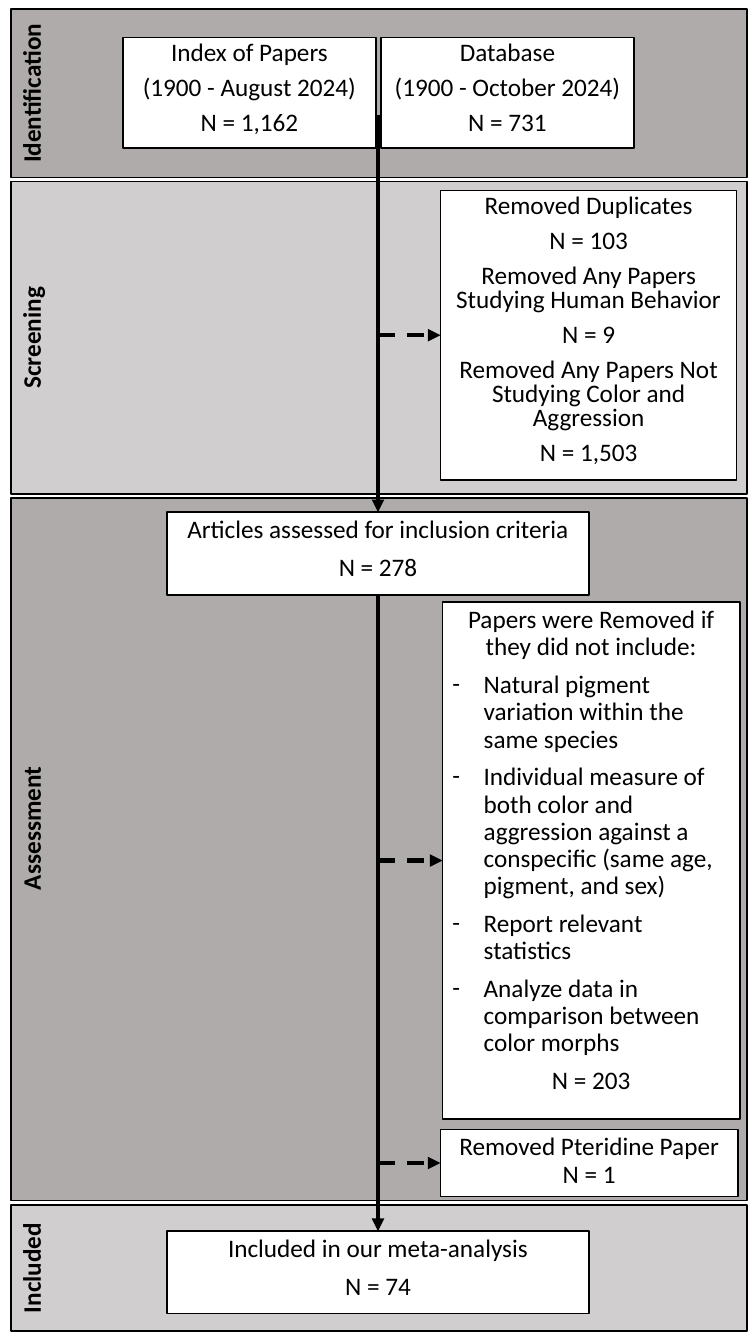
from lxml.etree import SubElement
from pptx import Presentation
from pptx.dml.color import RGBColor
from pptx.enum.dml import MSO_LINE
from pptx.enum.shapes import MSO_CONNECTOR, MSO_SHAPE
from pptx.enum.text import MSO_ANCHOR, MSO_AUTO_SIZE, PP_ALIGN
from pptx.oxml.ns import qn
from pptx.util import Pt

EMU_PER_PX = 9144
WIDTH, HEIGHT = 750, 1333
TRUNK_X = 375
TOP, LEFT, BOTTOM = 0, 1, 2
BLACK, WHITE, DARK, LIGHT = "000000", "FFFFFF", "AFABAB", "D0CECE"
BULLET = "- "
BULLET_INDENT = 31

BAND_LEFT, BAND_WIDTH = 11, 730
BANDS = {
    "Identification": (9, 167, 167, DARK),
    "Screening": (180, 310, 310, LIGHT),
    "Assessment": (494, 697, 655, DARK),
    "Included": (1195, 125, 125, LIGHT),
}

FONT_FORMAT = {"name": "Calibri", "size": Pt(18)}
FRAME_FORMAT = {
    "word_wrap": True,
    "auto_size": MSO_AUTO_SIZE.NONE,
    "vertical_anchor": MSO_ANCHOR.TOP,
}


def px(length):
    """Turn px into EMU."""
    return round(length * EMU_PER_PX)


def color(hex_string):
    """Turn a hex string into a colour."""
    return RGBColor.from_string(hex_string)


def apply_format(target, values):
    """Set every attribute in a dict of format values."""
    for name, value in values.items():
        setattr(target, name, value)


def place(shape, box):
    """Move and size a shape to a px box."""
    apply_format(shape, dict(zip(("left", "top", "width", "height"), map(px, box))))


def paint(shape, fill):
    """Give a shape a solid fill and a thin black outline."""
    shape.fill.solid()
    shape.fill.fore_color.rgb = color(fill)
    shape.line.color.rgb = color(BLACK)
    shape.line.width = Pt(1)


def write(shape, lines, spacing=0.9, bold=False):
    """Write centred paragraphs, with dashed bullets where marked."""
    frame = shape.text_frame
    apply_format(frame, FRAME_FORMAT)
    for index, line in enumerate(lines):
        paragraph = frame.paragraphs[0] if index == 0 else frame.add_paragraph()
        bulleted = line.startswith(BULLET)
        apply_format(paragraph, {
            "alignment": PP_ALIGN.LEFT if bulleted else PP_ALIGN.CENTER,
            "line_spacing": spacing,
            "space_before": Pt(7.5),
        })
        if bulleted:
            properties = paragraph._p.get_or_add_pPr()
            properties.set("marL", str(px(BULLET_INDENT)))
            properties.set("indent", str(-px(BULLET_INDENT)))
            SubElement(properties, qn("a:buFont"), typeface=FONT_FORMAT["name"])
            SubElement(properties, qn("a:buChar"), char=BULLET.strip())
        run = paragraph.add_run()
        run.text = line.removeprefix(BULLET)
        apply_format(run.font, {**FONT_FORMAT, "bold": bold})
        run.font.color.rgb = color(BLACK)


def add_rectangle(slide, box, fill):
    """Add an outlined rectangle without a shadow."""
    shape = slide.shapes.add_shape(MSO_SHAPE.RECTANGLE, *map(px, box))
    shape.shadow.inherit = False
    paint(shape, fill)
    return shape


def add_card(slide, box, lines, spacing=0.9):
    """Add a white box of text."""
    card = add_rectangle(slide, box, WHITE)
    write(card, lines, spacing)
    return card


def add_arrow(slide, start, end, target, side, source=None, dashed=False):
    """Add an arrow that is joined to its target, and to its source if given."""
    arrow = slide.shapes.add_connector(MSO_CONNECTOR.STRAIGHT, *map(px, start + end))
    if source is not None:
        arrow.begin_connect(source, BOTTOM)
    arrow.end_connect(target, side)
    arrow.line.color.rgb = color(BLACK)
    arrow.line.width = Pt(3)
    if dashed:
        arrow.line.dash_style = MSO_LINE.DASH
    SubElement(arrow.line._get_or_add_ln(), qn("a:tailEnd"), type="triangle")
    SubElement(arrow._element.spPr, qn("a:effectLst"))


def add_band(slide, box, fill, label, label_length):
    """Add a stage band with its vertical label at the left edge."""
    left, top, width, height = box
    add_rectangle(slide, box, fill)
    thickness = 82
    center_x = left + 3 + thickness / 2
    center_y = top + label_length / 2
    text_box = slide.shapes.add_textbox(
        px(center_x - label_length / 2), px(center_y - thickness / 2),
        px(label_length), px(thickness))
    text_box.rotation = 270
    write(text_box, [label], bold=True)


def add_removal(slide, box, lines, spacing=0.9):
    """Add a box of removed papers with a dashed arrow from the trunk."""
    left, top, width, height = box
    card = add_card(slide, box, lines, spacing)
    middle = top + height / 2
    add_arrow(slide, (TRUNK_X, middle), (left, middle), card, LEFT, dashed=True)


def add_sources(slide, box):
    """Add the two database boxes side by side."""
    left, top, width, height = box
    gap = 5
    card_width = (width - gap) / 2
    subtitle = slide.placeholders[1]
    subtitle.element.getparent().append(subtitle.element)
    place(subtitle, (left, top, card_width, height))
    paint(subtitle, WHITE)
    write(subtitle, ["Index of Papers", "(1900 - August 2024)", "N = 1,162"], 0.8)
    add_card(slide, (left + card_width + gap, top, card_width, height),
             ["Database", "(1900 - October 2024)", "N = 731"], 0.8)


def add_trunk_card(slide, top, lines):
    """Add a wide box centred on the trunk."""
    width = 419
    return add_card(slide, (TRUNK_X - width / 2, top, width, 82), lines)


def add_flow(slide):
    """Add all boxes and arrows of the selection flow."""
    add_sources(slide, (122, 37, 507, 110))
    assessed = add_trunk_card(
        slide, 508, ["Articles assessed for inclusion criteria", "N = 278"])
    included = add_trunk_card(slide, 1221, ["Included in our meta-analysis", "N = 74"])
    add_arrow(slide, (TRUNK_X, 114), (TRUNK_X, 508), assessed, TOP)
    add_arrow(slide, (TRUNK_X, 590), (TRUNK_X, 1221), included, TOP, source=assessed)
    add_removal(slide, (437, 189, 294, 287), [
        "Removed Duplicates", "N = 103",
        "Removed Any Papers Studying Human Behavior", "N = 9",
        "Removed Any Papers Not Studying Color and Aggression", "N = 1,503",
    ], 0.8)
    add_removal(slide, (439, 597, 295, 513), [
        "Papers were Removed if they did not include:",
        "- Natural pigment variation within the same species",
        "- Individual measure of both color and aggression against a "
        "conspecific (same age, pigment, and sex)",
        "- Report relevant statistics",
        "- Analyze data in comparison between color morphs",
        "N = 203",
    ])
    add_removal(slide, (437, 1120, 295, 67), ["Removed Pteridine Paper N = 1"])


def main():
    """Build and save the presentation."""
    presentation = Presentation()
    apply_format(presentation, {"slide_width": px(WIDTH), "slide_height": px(HEIGHT)})
    slide = presentation.slides.add_slide(presentation.slide_layouts[0])
    title = slide.shapes.title.element
    title.getparent().remove(title)
    for label, (top, height, label_length, fill) in BANDS.items():
        add_band(slide, (BAND_LEFT, top, BAND_WIDTH, height), fill, label, label_length)
    add_flow(slide)
    presentation.save("out.pptx")


if __name__ == "__main__":
    main()
